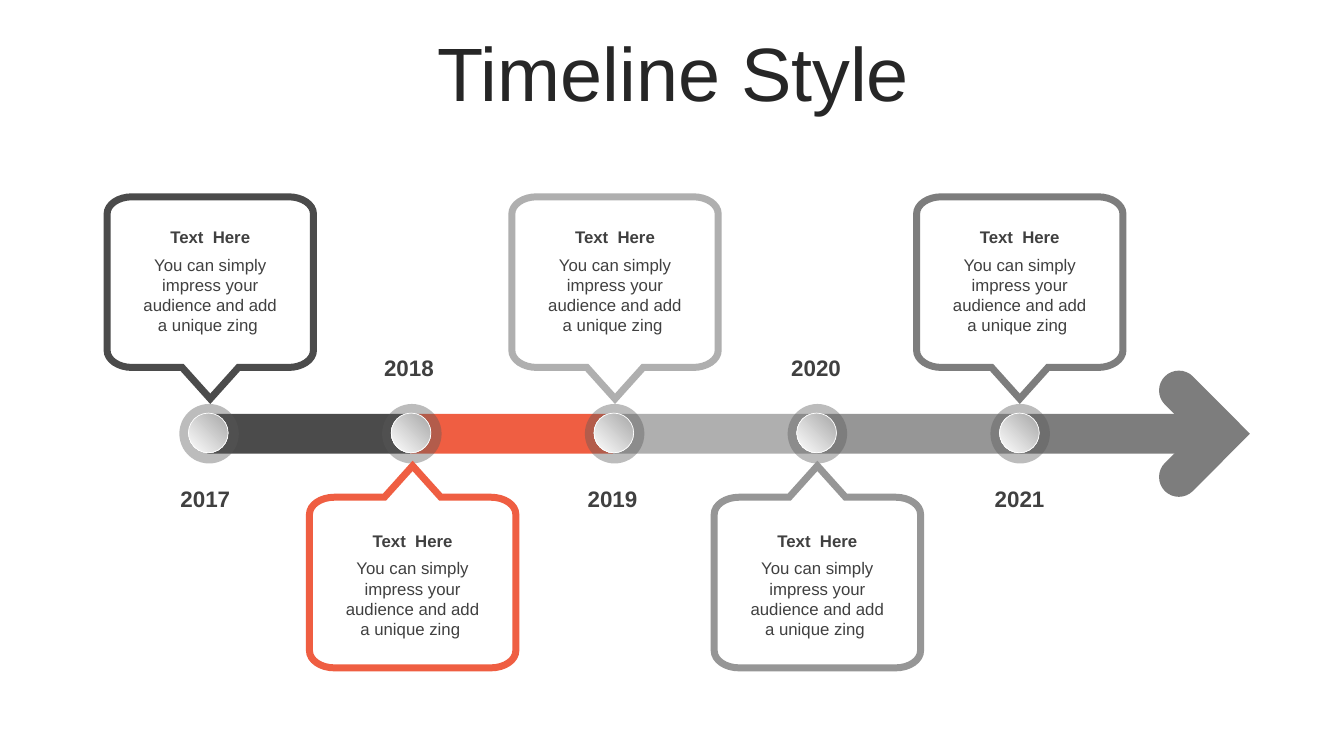
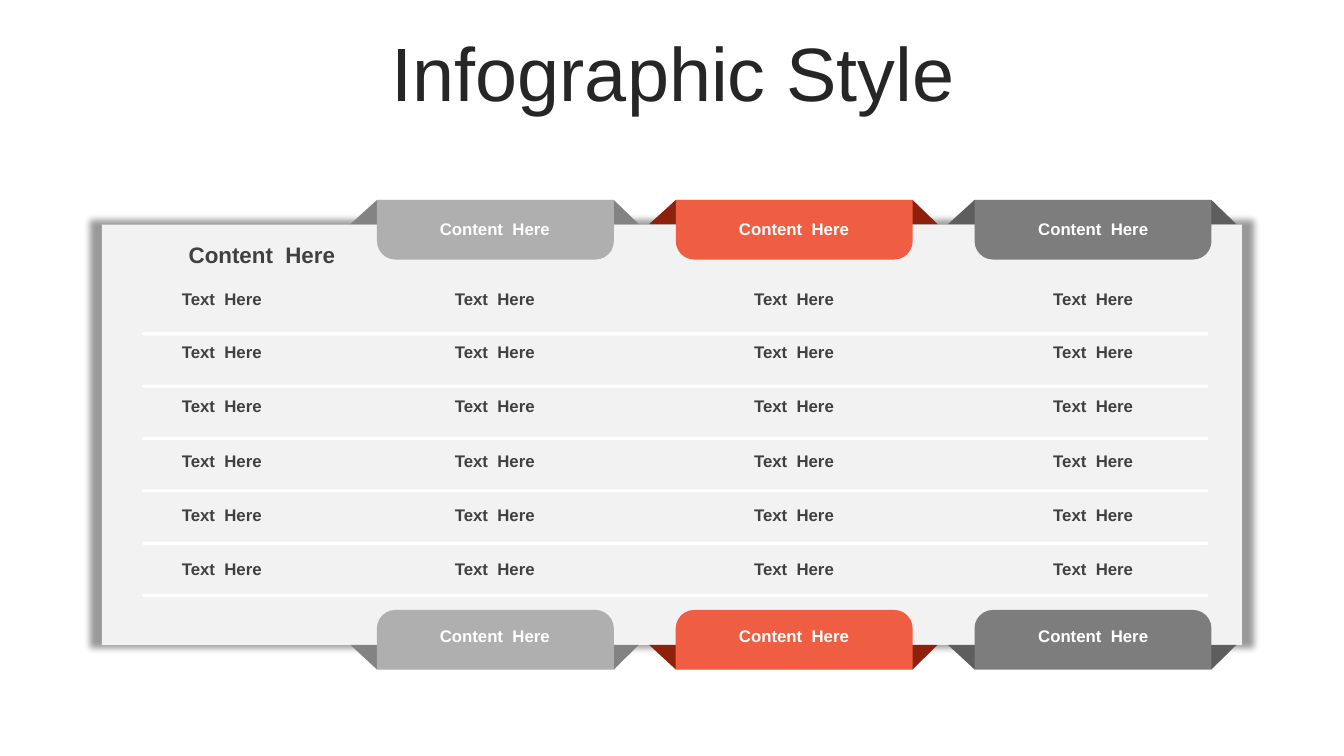
from itertools import pairwise
from math import cos, radians, sin, tan

from lxml.etree import SubElement
from pptx import Presentation
from pptx.dml.color import RGBColor
from pptx.enum.shapes import MSO_SHAPE as Preset
from pptx.enum.text import MSO_ANCHOR as Anchor, MSO_AUTO_SIZE as AutoSize, PP_ALIGN as Align
from pptx.oxml.ns import qn
from pptx.util import Cm, Pt

COLORS = {
    "title": "262626", "text": "404040", "white": "FFFFFF", "panel": "F2F2F2",
    "black": "000000", "halo": "595959", "knob": "A6A6A6",
    "charcoal": "4B4B4B", "orange": "EF5E42", "silver": "AFAFAF",
    "gray": "969696", "slate": "7D7D7D",
    "silver fold": "838383", "orange fold": "8D210C", "slate fold": "5E5E5E",
}
FONT = "Arial"

HEADING = "Text  Here"
BODY = "You can simply impress your audience and add a unique zing "
MILESTONES = [
    ("2017", "charcoal", "above"),
    ("2018", "orange", "below"),
    ("2019", "silver", "above"),
    ("2020", "gray", "below"),
    ("2021", "slate", "above"),
]
SIDES = {
    "above": {"tip": 10.05, "direction": -1, "heading": 5.59, "year": 12.1},
    "below": {"tip": 11.74, "direction": 1, "heading": 13.24, "year": 8.81},
}
PITCH = 5.11

TABS = ["silver", "orange", "slate"]
CONTENT = "Content  Here"
TABLE_ROWS = [[CONTENT] * 4, *[[HEADING] * 4 for _ in range(6)], ["", *[CONTENT] * 3]]
COLUMN_WIDTHS = [6.22, 7.54, 7.54, 7.54]
ROW_HEIGHTS = [2.18, 1.32, *[1.37] * 5, 1.98]


def color(name):
    return RGBColor.from_string(COLORS[name])


def write(frame, text, size=12, bold=False, ink="text", align=Align.CENTER, anchor=None, spacing=None):
    frame.word_wrap = True
    frame.text = text
    if anchor is not None:
        frame.vertical_anchor = anchor
    paragraph = frame.paragraphs[0]
    paragraph.alignment = align
    paragraph.line_spacing = spacing
    paragraph.space_before = Pt(0)
    font = paragraph.runs[0].font
    font.name, font.size, font.bold = FONT, Pt(size), bold
    font.color.rgb = color(ink)


def add_label(slide, text, left, top, width, height, **style):
    box = slide.shapes.add_textbox(Cm(left), Cm(top), Cm(width), Cm(height))
    write(box.text_frame, text, **style)


def paint(shape, fill, line=None, line_width=0.5):
    shape.shadow.inherit = False
    shape.fill.solid()
    shape.fill.fore_color.rgb = color(fill)
    if line:
        shape.line.color.rgb = color(line)
        shape.line.width = Pt(line_width)
    else:
        shape.line.fill.background()
    return shape


def add_block(slide, preset, left, top, width, height, fill, **outline):
    shape = slide.shapes.add_shape(preset, Cm(left), Cm(top), Cm(width), Cm(height))
    return paint(shape, fill, **outline)


def arc(x, y, radius_x, radius_y, *angles):
    def place(angle, pull=0):
        return (x + radius_x * (cos(angle) - pull * sin(angle)),
                y - radius_y * (sin(angle) + pull * cos(angle)))

    turns = [radians(angle) for angle in angles]
    segments = [[place(turns[0])]]
    for start, end in pairwise(turns):
        pull = 4 / 3 * tan((end - start) / 4)
        segments.append([place(start, pull), place(end, -pull), place(end)])
    return segments


def add_outline(slide, segments, fill, **outline):
    points = [(Cm(x), Cm(y)) for segment in segments for x, y in segment]
    builder = slide.shapes.build_freeform(*points[0])
    builder.add_line_segments(points[1:], close=True)
    shape = builder.convert_to_shape()
    contour = next(shape._element.iter(qn("a:path")))
    nodes = iter(list(contour))
    for segment in segments:
        group = [next(nodes) for _ in segment]
        if len(group) == 3:
            curve = SubElement(contour, qn("a:cubicBezTo"))
            group[0].addprevious(curve)
            for node in group:
                curve.append(node[0])
                contour.remove(node)
    return paint(shape, fill, **outline)


def add_titled_slide(presentation, text):
    slide = presentation.slides.add_slide(presentation.slide_layouts[5])
    title = slide.shapes.title
    title.left, title.top, title.width, title.height = Cm(0.89), Cm(0.93), Cm(32.16), Cm(2.01)
    write(title.text_frame, text, size=54, ink="title", anchor=Anchor.MIDDLE, spacing=0.9)
    title.text_frame.auto_size = AutoSize.NONE
    return slide


def add_arrowhead(slide):
    middle, reach = 10.93, 1.09
    segments = [
        [(31.5, middle)],
        *arc(29.71, middle - reach, 0.5, 0.5, 45, 90, 180, 225),
        [(30.1, middle)],
        *arc(29.71, middle + reach, 0.5, 0.5, 135, 180, 270, 315),
    ]
    add_outline(slide, segments, "slate")


def add_knob(slide, left):
    halo = add_block(slide, Preset.OVAL, left, 10.18, 1.5, 1.5, "halo")
    tone = halo.fill._xPr.find(qn("a:solidFill"))[0]
    SubElement(tone, qn("a:alpha"), val="40000")
    knob = add_block(slide, Preset.OVAL, left + 0.23, 10.41, 1, 1, "halo", line="white")
    knob.fill.gradient()
    knob.fill.gradient_angle = 225
    for stop, name, position in zip(knob.fill.gradient_stops, ["knob", "white"], [0, 1]):
        stop.color.rgb = color(name)
        stop.position = position


def add_callout(slide, center, side, line):
    half, radius_x, radius_y, notch = 2.6, 0.63, 0.43, 0.71
    near, far = 0.79, 5.09
    left, right = center - half + radius_x, center + half - radius_x
    top, bottom = near + radius_y, far - radius_y
    segments = [
        [(center, 0)],
        [(center + notch, near)],
        *arc(right, top, radius_x, radius_y, 90, 0),
        *arc(right, bottom, radius_x, radius_y, 0, -90),
        *arc(left, bottom, radius_x, radius_y, -90, -180),
        *arc(left, top, radius_x, radius_y, 180, 90),
        [(center - notch, near)],
    ]
    placed = [[(x, side["tip"] + side["direction"] * y) for x, y in segment] for segment in segments]
    bubble = add_outline(slide, placed, "white", line=line, line_width=5)
    SubElement(bubble.line._get_or_add_ln(), qn("a:miter"), lim="800000")
    text_left = center - 1.97
    add_label(slide, HEADING, text_left, side["heading"], 3.94, 0.76, bold=True, anchor=Anchor.MIDDLE)
    add_label(slide, BODY, text_left, side["heading"] + 0.7, 3.94, 2.31)


def build_timeline(presentation):
    slide = add_titled_slide(presentation, "Timeline Style")
    for index, (_, name, _) in enumerate(MILESTONES):
        add_block(slide, Preset.RECTANGLE, 5.23 + PITCH * index, 10.43, PITCH, 1, name)
    add_arrowhead(slide)
    for index in range(len(MILESTONES)):
        add_knob(slide, 4.52 + PITCH * index)
    for index, (year, name, side_name) in enumerate(MILESTONES):
        side = SIDES[side_name]
        add_callout(slide, 5.3 + 5.1 * index, side, name)
        add_label(slide, year, 4.25 + 5.13 * index, side["year"], 1.85, 0.94, size=16, bold=True)


def add_panel(slide):
    panel = add_block(slide, Preset.RECTANGLE, 2.57, 5.66, 28.73, 10.59, "panel")
    effects = panel._element.spPr.find(qn("a:effectLst"))
    shadow = SubElement(effects, qn("a:outerShdw"), blurRad=str(Pt(5)), sx="102000", sy="102000",
                        algn="ctr", rotWithShape="0")
    tone = SubElement(shadow, qn("a:srgbClr"), val=COLORS["black"])
    SubElement(tone, qn("a:alpha"), val="40000")
    for index in range(6):
        rule = add_block(slide, Preset.ROUNDED_RECTANGLE, 3.58, 8.37 + 1.32 * index, 26.87, 0.08, "white")
        rule.adjustments[0] = 0.5


def add_tab(slide, left, top, edge, base, name, rotation):
    right = left + 5.97
    fold = [(left - 0.67, base), (left, edge), (right, edge), (right + 0.63, base)]
    add_outline(slide, [[point] for point in fold], name + " fold")
    tab = add_block(slide, Preset.ROUND_2_SAME_RECTANGLE, left, top, 5.97, 1.5, name)
    tab.adjustments[0], tab.adjustments[1] = 0.31, 0
    tab.rotation = rotation


def add_grid(slide):
    frame = slide.shapes.add_table(len(ROW_HEIGHTS), len(COLUMN_WIDTHS), Cm(2.48), Cm(4.7),
                                   Cm(sum(COLUMN_WIDTHS)), Cm(sum(ROW_HEIGHTS)))
    table = frame.table
    table.first_row = table.horz_banding = False
    table._tbl.tblPr.find(qn("a:tableStyleId")).text = "{2D5ABB26-0587-4C30-8999-92F81FD0307C}"
    for column, width in zip(table.columns, COLUMN_WIDTHS):
        column.width = Cm(width)
    for row, height, texts in zip(table.rows, ROW_HEIGHTS, TABLE_ROWS):
        row.height = Cm(height)
        for cell, text in zip(row.cells, texts):
            cell.fill.background()
            cell.vertical_anchor = Anchor.MIDDLE
            if text:
                ink = "white" if text == CONTENT else "text"
                write(cell.text_frame, text, bold=True, ink=ink)
    corner = table.cell(0, 0)
    corner.vertical_anchor = Anchor.BOTTOM
    write(corner.text_frame, CONTENT, size=16, bold=True, align=Align.RIGHT)


def build_infographic(presentation):
    slide = add_titled_slide(presentation, "Infographic Style")
    add_panel(slide)
    for index, name in enumerate(TABS):
        left = 9.5 + 7.53 * index
        add_tab(slide, left, 5.04, 5.04, 5.65, name, 180)
        add_tab(slide, left, 15.37, 16.87, 16.25, name, 0)
    add_grid(slide)


def main():
    presentation = Presentation()
    presentation.slide_width, presentation.slide_height = Cm(33.87), Cm(19.05)
    build_timeline(presentation)
    build_infographic(presentation)
    presentation.save("out.pptx")


if __name__ == "__main__":
    main()
